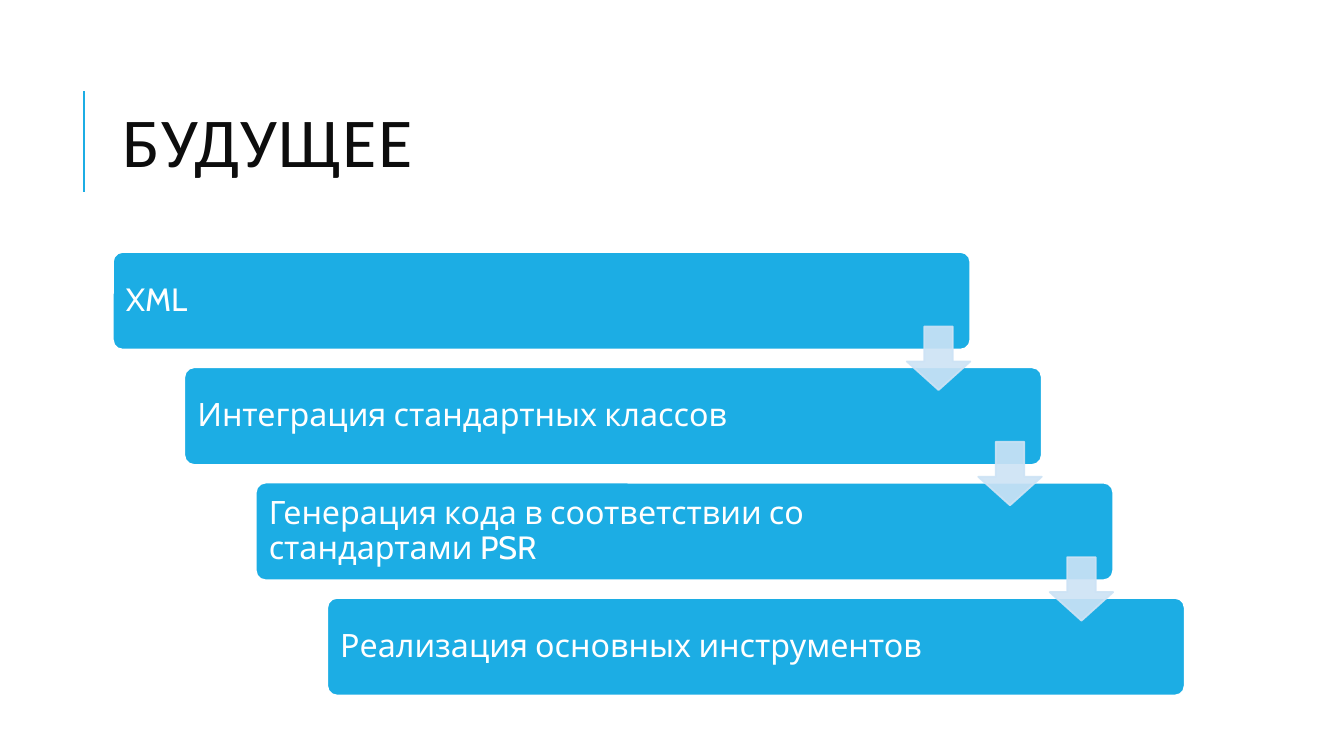
import pptx
import pptx.dml.color
import pptx.enum.shapes
import pptx.enum.text
import pptx.oxml
import pptx.oxml.ns
import pptx.util

WIDE, HIGH = 13.33, 7.5
BLUE, PALE, WHITE, DARK = "1CADE4", "CDE3F5", "FFFFFF", "0D0D0D"
STEPS = [
    "XML",
    "Интеграция стандартных классов",
    "Генерация кода в соответствии со стандартами PSR",
    "Реализация основных инструментов",
]
KINDS = pptx.enum.shapes.MSO_SHAPE
INCH, PT = pptx.util.Inches, pptx.util.Pt


def tint(text):
    """Turn a hex string into a colour."""
    return pptx.dml.color.RGBColor.from_string(text)


def apply(item, values):
    """Set each named attribute on an item."""
    for name, value in values.items():
        setattr(item, name, value)


def write(slide, box, text, font, size, color, lead, pad=0.1):
    """Add a wrapped text box centred on its height and return its run."""
    frame = slide.shapes.add_textbox(*map(INCH, box)).text_frame
    apply(frame, {
        "word_wrap": True,
        "vertical_anchor": pptx.enum.text.MSO_ANCHOR.MIDDLE,
        "margin_left": INCH(pad), "margin_right": INCH(pad),
        "margin_top": INCH(pad), "margin_bottom": INCH(pad),
    })
    para = frame.paragraphs[0]
    para.line_spacing = lead
    run = para.add_run()
    run.text = text
    apply(run.font, {"name": font, "size": PT(size)})
    run.font.color.rgb = tint(color)
    return run


def draw(slide, kind, box, fill, edge, adjust):
    """Add a flat preset shape with its fill, edge and adjustments."""
    shape = slide.shapes.add_shape(kind, *map(INCH, box))
    shape.shadow.inherit = False
    shape.fill.solid()
    shape.fill.fore_color.rgb = tint(fill)
    shape.line.color.rgb = tint(edge)
    shape.line.width = PT(1.25)
    for spot, value in enumerate(adjust):
        shape.adjustments[spot] = value
    return shape


def fade(shape, share):
    """Make the fill and edge of a shape partly transparent."""
    for node in shape.element.spPr.iter(pptx.oxml.ns.qn("a:srgbClr")):
        alpha = pptx.oxml.parse_xml(
            "<a:alpha %s val='%d'/>" % (pptx.oxml.ns.nsdecls("a"), share * 1000))
        node.append(alpha)


def head(slide, box):
    """Place the title and the upright rule to its left."""
    left, top, wide, high = box
    x = left - 0.29
    rule = slide.shapes.add_connector(
        pptx.enum.shapes.MSO_CONNECTOR.STRAIGHT,
        *map(INCH, (x, top + 1.26, x, top + 0.26)))
    rule.line.color.rgb = tint(BLUE)
    rule.line.width = PT(1.5)
    rule.element.spPr.append(pptx.oxml.parse_xml(
        "<a:effectLst %s/>" % pptx.oxml.ns.nsdecls("a")))
    run = write(slide, box, "БУДУЩЕЕ", "Calibri", 50, DARK, 0.8)
    run.font._element.set("spc", "100")


def stairs(slide, box, steps):
    """Place the steps down a diagonal with an arrow between each pair."""
    left, top, wide, high = box
    bar, tall, side, rim = wide * 0.8, high * 0.22, 0.63, 0.03
    gaps = len(steps) - 1
    across, down = (wide - bar) / gaps, (high - tall) / gaps
    spots = [(left + i * across, top + i * down) for i in range(len(steps))]
    for (x, y), text in zip(spots, steps):
        draw(slide, KINDS.ROUNDED_RECTANGLE, (x, y, bar, tall), BLUE, WHITE, [0.1])
        write(slide, (x + rim, y + rim, 7.12, tall - 2 * rim),
              text, "Cabin", 23, WHITE, 0.9)
    for x, y in spots[:-1]:
        place = (x + bar - side, y + 0.74, side, side)
        fade(draw(slide, KINDS.DOWN_ARROW, place, PALE, PALE, [0.45, 0.45]), 90)


def main():
    """Build the slide and save it."""
    deck = pptx.Presentation()
    apply(deck, {"slide_width": INCH(WIDE), "slide_height": INCH(HIGH)})
    slide = deck.slides.add_slide(deck.slide_layouts[6])
    head(slide, (1.12, 0.64, 10.63, 1.64))
    stairs(slide, (1.12, 2.5, 10.63, 4.4), STEPS)
    deck.save("out.pptx")


if __name__ == "__main__":
    main()
